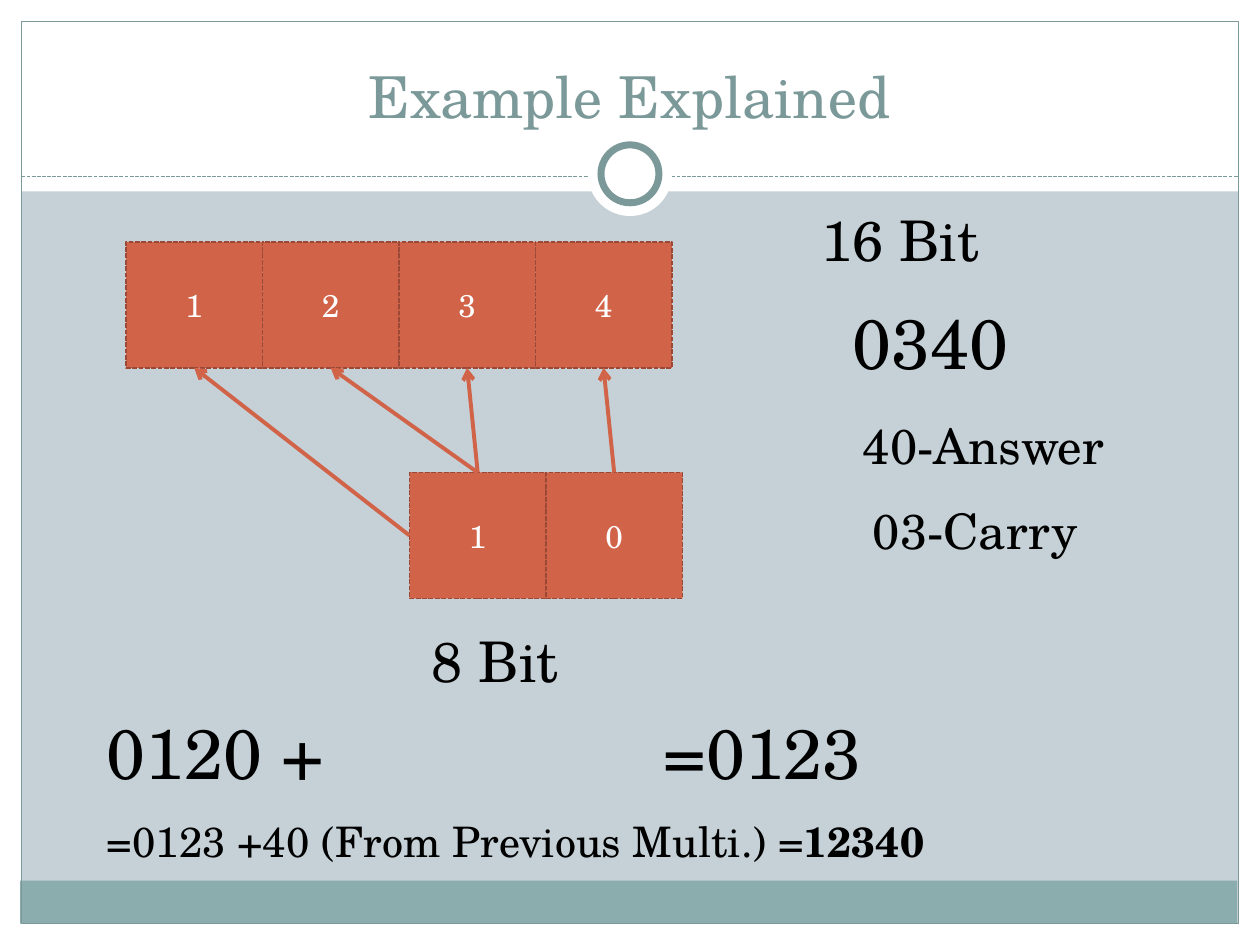
from dataclasses import dataclass

from lxml import etree
from pptx import Presentation
from pptx.dml.color import RGBColor
from pptx.enum.dml import MSO_LINE
from pptx.enum.shapes import MSO_CONNECTOR, MSO_SHAPE
from pptx.enum.text import MSO_ANCHOR, MSO_AUTO_SIZE, PP_ALIGN
from pptx.oxml.ns import qn
from pptx.util import Inches, Pt

RECT, OVAL = MSO_SHAPE.RECTANGLE, MSO_SHAPE.OVAL
STRAIGHT = MSO_CONNECTOR.STRAIGHT
DASH = MSO_LINE.SQUARE_DOT
CENTER, LEFT = PP_ALIGN.CENTER, PP_ALIGN.LEFT
MIDDLE, BOTTOM, TOP_ANCHOR = MSO_ANCHOR.MIDDLE, MSO_ANCHOR.BOTTOM, MSO_ANCHOR.TOP
TOP, LEFT_SIDE, BASE = 0, 1, 2  # connection sites of a rectangle


@dataclass(frozen=True)
class Theme:
    """Colours, font and type sizes of the slide."""
    font: str = "TeX Gyre Schola"
    back: str = "C5D1D7"
    white: str = "FFFFFF"
    black: str = "000000"
    band: str = "8CADAE"
    frame: str = "7C999A"
    cell: str = "D16349"
    cell_edge: str = "9B4936"
    title: int = 33
    digit: int = 18
    huge: int = 40
    large: int = 32
    medium: int = 28
    small: int = 24


T = Theme()

TITLE = "Example Explained"
# digits, left, top
ROWS = {"multiplicand": ("1234", 1, 1.92), "multiplier": ("10", 3.25, 3.75)}
CELL_W, CELL_H = 1.083, 1
# multiplier cell, side it leaves from, multiplicand cell
ARROWS = [(1, TOP, 3), (0, TOP, 2), (0, LEFT_SIDE, 0), (0, TOP, 1)]
# runs (text, bold), size, box
NOTES = [
    ([("16 Bit", False)], T.large, (6.42, 1.58, 1.58, 0.64)),
    ([("0340", False)], T.huge, (6.67, 2.33, 1.58, 0.77)),
    ([("40-Answer", False)], T.medium, (6.75, 3.25, 2.33, 0.57)),
    ([("03-Carry", False)], T.medium, (6.83, 3.92, 2.83, 0.57)),
    ([("8 Bit", False)], T.large, (3.33, 4.92, 1.58, 0.64)),
    ([("0120 +", False)], T.huge, (0.75, 5.58, 2.17, 0.77)),
    ([("=0123", False)], T.huge, (5.17, 5.58, 2.17, 0.77)),
    ([("=0123 +40 (From Previous Multi.) =", False), ("12340", True)],
     T.small, (0.75, 6.42, 8.92, 0.5)),
]
# white margins, then the coloured band
MARGINS = [(0, 7.33, 10, 0.17), (0, 0, 10, 1.52),
           (0, 0, 0.17, 7.5), (9.83, 0, 0.17, 7.5)]
BAND = (0.16, 6.99, 9.66, 0.34)
FRAME = (0.17, 0.17, 9.66, 7.16)
RULE_Y = 1.4
RING_CENTER = (5, 1.38)


def rgb(code):
    """Turn a hex code into a colour."""
    return RGBColor.from_string(code)


def inches(values):
    """Turn plain numbers into lengths."""
    return [Inches(v) for v in values]


def style_line(line, color, width, dash=None):
    """Set colour, width and dash of an outline."""
    line.color.rgb = rgb(color)
    line.width = Pt(width)
    if dash is not None:
        line.dash_style = dash


def write(sp, runs, size, color, align=LEFT, anchor=TOP_ANCHOR):
    """Write one paragraph, run by run."""
    tf = sp.text_frame
    tf.word_wrap = True
    tf.vertical_anchor = anchor
    p = tf.paragraphs[0]
    p.alignment = align
    for text, bold in runs:
        r = p.add_run()
        r.text = text
        r.font.name = T.font
        r.font.size = Pt(size)
        r.font.bold = bold
        r.font.color.rgb = rgb(color)


def add_shape(s, kind, box, fill=None, line=None):
    """Add a flat shape; line is (colour, width[, dash])."""
    sp = s.shapes.add_shape(kind, *inches(box))
    sp.shadow.inherit = False
    if fill:
        sp.fill.solid()
        sp.fill.fore_color.rgb = rgb(fill)
    else:
        sp.fill.background()
    if line:
        style_line(sp.line, *line)
    else:
        sp.line.fill.background()
    return sp


def add_line(s, ends, color, width, dash=None):
    """Add a straight connector without shadow."""
    c = s.shapes.add_connector(STRAIGHT, *inches(ends))
    style_line(c.line, color, width, dash)
    etree.SubElement(c._element.spPr, qn("a:effectLst"))
    return c


def add_ring(s, diameter, line=None):
    """Add a white disc at the middle of the header rule."""
    x, y = RING_CENTER
    box = (x - diameter / 2, y - diameter / 2, diameter, diameter)
    add_shape(s, OVAL, box, T.white, line)


def add_frame(s):
    """Draw margins, band, border, rule and ring."""
    for box in MARGINS:
        add_shape(s, RECT, box, T.white)
    add_shape(s, RECT, BAND, T.band)
    add_shape(s, RECT, FRAME, line=(T.frame, 0.75))
    add_line(s, (FRAME[0], RULE_Y, FRAME[0] + FRAME[2], RULE_Y), T.frame, 0.75, DASH)
    add_ring(s, 0.67)
    add_ring(s, 0.46, (T.frame, 4))


def add_title(s):
    """Place the title in front of the frame."""
    title = s.shapes.title
    s.shapes._spTree.append(title._element)
    title.left, title.top, title.width, title.height = inches((0.33, 0.25, 9.33, 0.83))
    write(title, [(TITLE, False)], T.title, T.frame, CENTER, BOTTOM)


def add_row(s, digits, left, top):
    """Draw one cell per digit and return the cells."""
    cells = []
    for i, digit in enumerate(digits):
        box = (left + i * CELL_W, top, CELL_W, CELL_H)
        sp = add_shape(s, RECT, box, T.cell, (T.cell_edge, 0.9, DASH))
        write(sp, [(digit, False)], T.digit, T.white, CENTER, MIDDLE)
        cells.append(sp)
    return cells


def add_arrow(s, source, side, target):
    """Join a multiplier cell to the base of a multiplicand cell."""
    c = add_line(s, (0, 0, 1, 1), T.cell, 2.25)
    c.begin_connect(source, side)
    c.end_connect(target, BASE)
    etree.SubElement(c.line._get_or_add_ln(), qn("a:tailEnd"), type="arrow")


def main():
    """Build and save the slide."""
    prs = Presentation()
    prs.slide_width, prs.slide_height = inches((10, 7.5))
    s = prs.slides.add_slide(prs.slide_layouts[5])
    s.background.fill.solid()
    s.background.fill.fore_color.rgb = rgb(T.back)
    add_frame(s)
    add_title(s)
    rows = {name: add_row(s, *row) for name, row in ROWS.items()}
    for source, side, target in ARROWS:
        add_arrow(s, rows["multiplier"][source], side, rows["multiplicand"][target])
    for runs, size, box in NOTES:
        sp = s.shapes.add_textbox(*inches(box))
        write(sp, runs, size, T.black)
        sp.text_frame.auto_size = MSO_AUTO_SIZE.SHAPE_TO_FIT_TEXT
    prs.save("out.pptx")


main()
